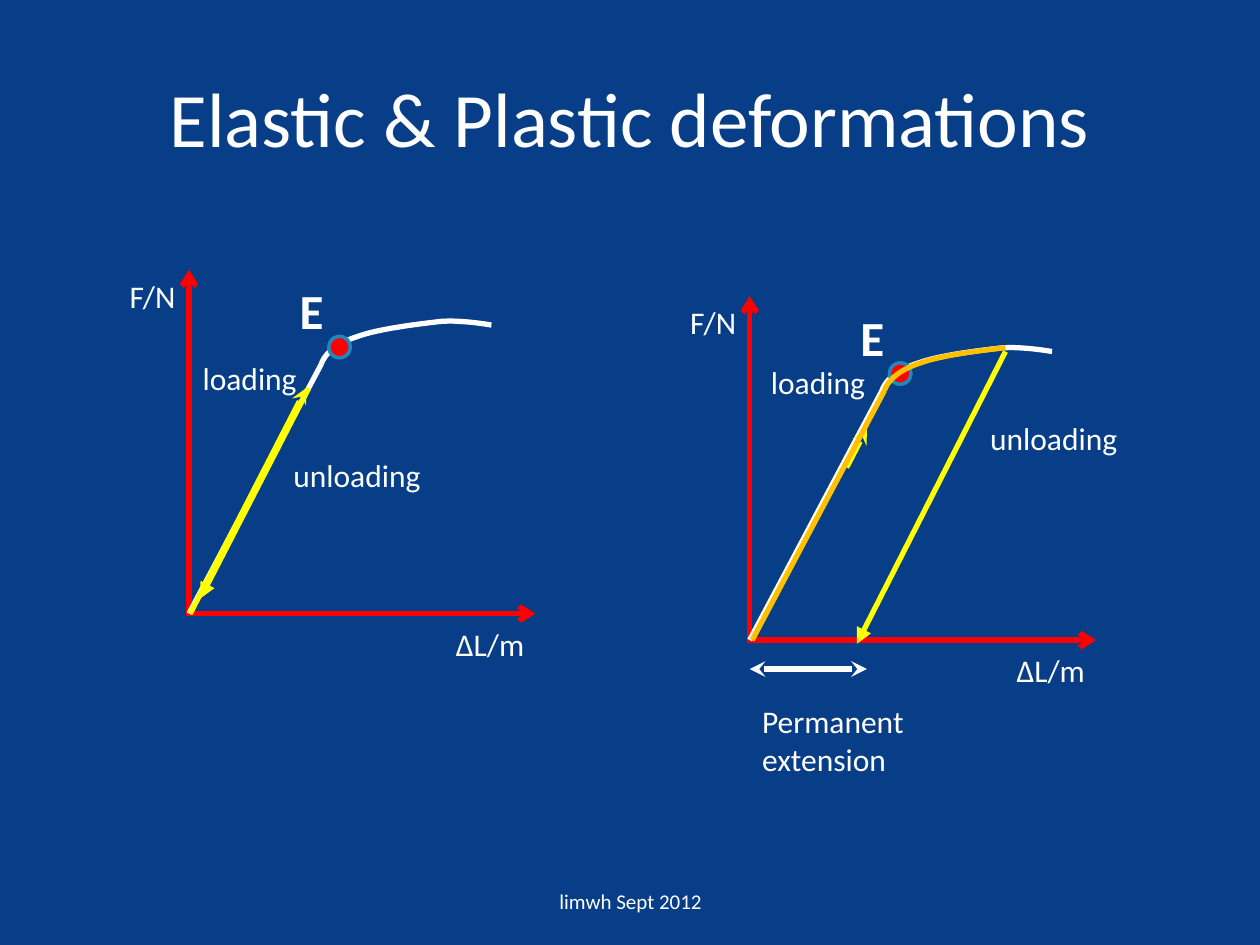
from pptx import Presentation
from pptx.dml.color import RGBColor
from pptx.enum.shapes import MSO_CONNECTOR, MSO_SHAPE
from pptx.enum.text import MSO_ANCHOR, MSO_AUTO_SIZE, PP_ALIGN
from pptx.oxml.ns import qn
from pptx.util import Inches, Pt
from lxml.etree import SubElement

FONT = "Calibri"
WHITE, RED, YELLOW, ORANGE = "FFFFFF", "FF0000", "FFFF00", "FFC000"

# Bend past the elastic limit, as cubic pieces measured from the graph origin
ELASTIC_END = (1.05, -1.98)
BEND = [
    [(1.05, -1.98), (1.08, -2.07), (1.18, -2.15), (1.34, -2.20)],
    [(1.34, -2.20), (1.50, -2.26), (1.83, -2.30), (2.01, -2.32)],
    [(2.01, -2.32), (2.18, -2.33), (2.40, -2.29), (2.40, -2.29)],
]


def rgb(color):
    return RGBColor.from_string(color)


def add_text(s, text, x, y, w, h, size=18, bold=False, align=PP_ALIGN.LEFT,
             anchor=MSO_ANCHOR.TOP, wrap=False):
    tf = s.shapes.add_textbox(Inches(x), Inches(y), Inches(w), Inches(h)).text_frame
    tf.word_wrap = wrap
    tf.auto_size = MSO_AUTO_SIZE.NONE
    tf.vertical_anchor = anchor
    p = tf.paragraphs[0]
    p.alignment = align
    r = p.add_run()
    r.text = text
    r.font.name, r.font.size, r.font.bold = FONT, Pt(size), bold
    r.font.color.rgb = rgb(color=WHITE)


def add_line(s, x1, y1, x2, y2, color, head=None, tail=None):
    c = s.shapes.add_connector(MSO_CONNECTOR.STRAIGHT, Inches(x1), Inches(y1),
                               Inches(x2), Inches(y2))
    c.line.color.rgb = rgb(color)
    c.line.width = Pt(3)
    ln = c.line._get_or_add_ln()
    for tag, kind in (("a:headEnd", head), ("a:tailEnd", tail)):
        if kind:
            SubElement(ln, qn(tag)).set("type", kind)
    SubElement(c._element.spPr, qn("a:effectLst"))


def bezier(points, t):
    weights = ((1 - t) ** 3, 3 * t * (1 - t) ** 2, 3 * t * t * (1 - t), t ** 3)
    return tuple(sum(k * pt[i] for k, pt in zip(weights, points)) for i in (0, 1))


def add_curve(s, x, y, pieces, color, steps=12):
    points = [pieces[0][0]]
    for piece in pieces:
        points += [bezier(piece, i / steps) for i in range(1, steps + 1)]
    points = [(Inches(x + dx), Inches(y + dy)) for dx, dy in points]
    builder = s.shapes.build_freeform(*points[0])
    builder.add_line_segments(points[1:], close=False)
    sp = builder.convert_to_shape()
    sp.shadow.inherit = False
    sp.fill.background()
    sp.line.color.rgb = rgb(color)
    sp.line.width = Pt(3)


def add_loading_path(s, x, y, pieces, color):
    dx, dy = ELASTIC_END
    add_line(s, x, y, x + dx, y + dy, color)
    add_curve(s, x, y, pieces, color)


def add_graph(s, x, y):
    # Axes and their labels
    add_line(s, x, y + 0.02, x, y - 2.73, RED, tail="arrow")
    add_line(s, x, y, x + 2.75, y, RED, tail="arrow")
    add_text(s, "ΔL/m", x + 2.02, y + 0.04, 0.76, 0.4)
    add_text(s, "F/N", x - 0.57, y - 2.72, 0.57, 0.4)
    add_loading_path(s, x, y, BEND, WHITE)
    # Elastic limit
    sp = s.shapes.add_shape(MSO_SHAPE.OVAL, Inches(x + 1.11), Inches(y - 2.2),
                            Inches(0.17), Inches(0.17))
    sp.shadow.inherit = False
    sp.fill.solid()
    sp.fill.fore_color.rgb = rgb(RED)
    sp.line.color.rgb = rgb("2487BB")
    sp.line.width = Pt(2)
    add_text(s, "E", x + 0.78, y - 2.69, 0.39, 0.57, size=28, bold=True)


def add_elastic_graph(s):
    add_graph(s, 1.5, 4.87)
    add_line(s, 1.51, 4.87, 2.43, 3.08, YELLOW, tail="stealth")
    add_text(s, "loading", 1.51, 2.8, 0.96, 0.4)
    add_line(s, 1.59, 4.75, 2.45, 3.08, YELLOW, head="triangle")
    add_text(s, "unloading", 2.23, 3.57, 1.22, 0.4)


def add_plastic_graph(s):
    x, y = 5.95, 5.08
    add_graph(s, x, y)
    # Unloading
    add_line(s, 6.8, 5.11, 7.98, 2.79, YELLOW, head="triangle")
    add_text(s, "unloading", 7.76, 3.28, 1.22, 0.4)
    # Loading
    add_line(s, 6.72, 3.71, 6.88, 3.4, YELLOW, tail="stealth")
    add_loading_path(s, x + 0.02, y, BEND[:2], ORANGE)
    add_text(s, "loading", 6.02, 2.83, 0.96, 0.4)
    # Permanent extension
    add_line(s, x, 5.31, 6.88, 5.31, WHITE, head="stealth", tail="stealth")
    add_text(s, "Permanent extension", x, 5.52, 1.35, 0.71, wrap=True)


def main():
    prs = Presentation()
    prs.slide_width, prs.slide_height = Inches(10), Inches(7.5)
    s = prs.slides.add_slide(prs.slide_layouts[6])
    s.background.fill.solid()
    s.background.fill.fore_color.rgb = rgb("073E87")

    centred = dict(align=PP_ALIGN.CENTER, anchor=MSO_ANCHOR.MIDDLE, wrap=True)
    add_text(s, "Elastic & Plastic deformations", 0.5, 0.3, 9, 1.25, size=44, **centred)
    add_elastic_graph(s)
    add_plastic_graph(s)
    add_text(s, "limwh Sept 2012", 3.42, 6.95, 3.17, 0.4, size=12, **centred)
    prs.save("out.pptx")


main()
